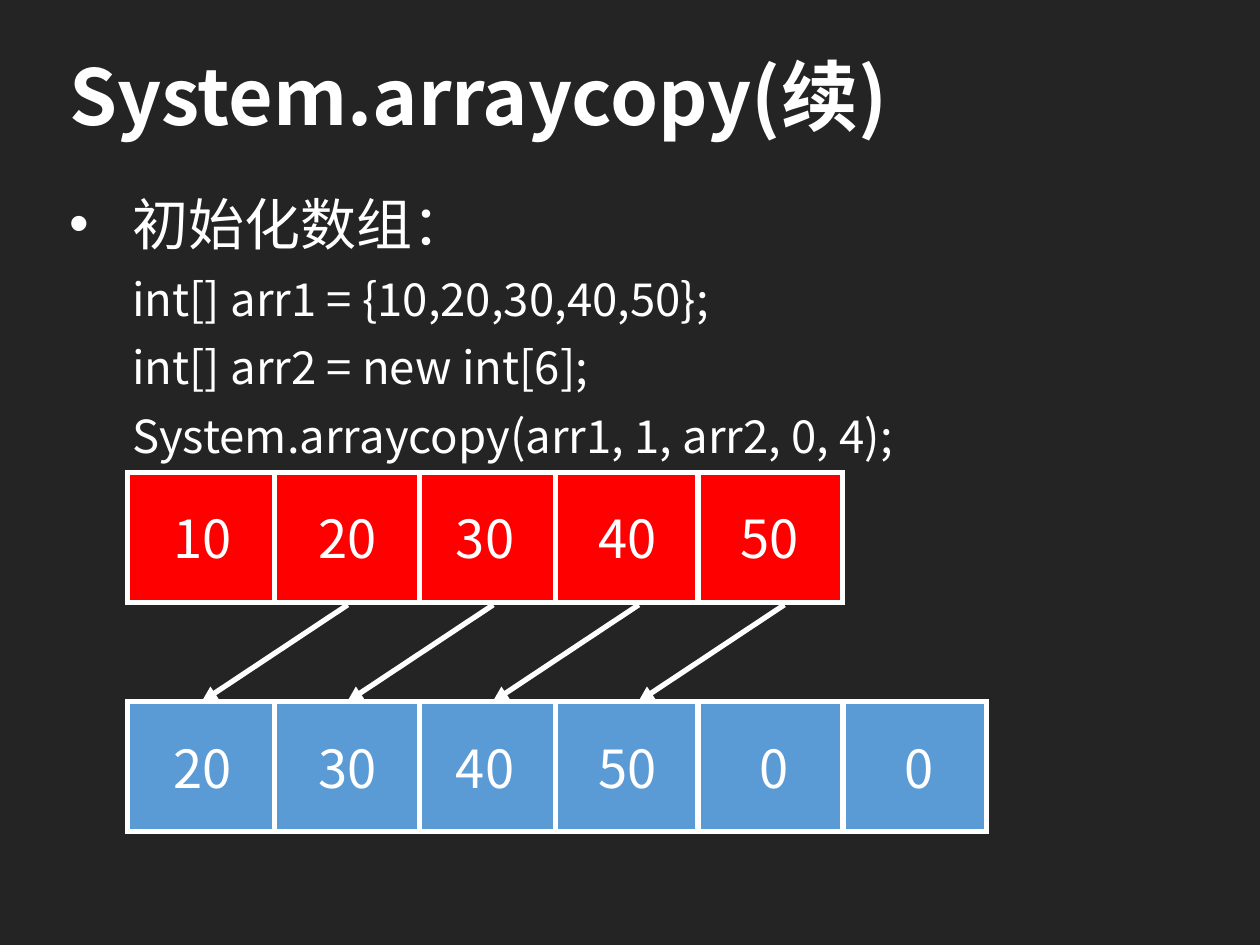
import pptx
import pptx.util
import pptx.dml.color
import pptx.enum.shapes
import pptx.enum.text
import pptx.oxml.ns
from pptx.util import Inches

FONT = "Noto Sans CJK SC"
COLORS = {"back": "242424", "white": "FFFFFF", "source": "FF0000", "target": "5B9BD5"}

TITLE = "System.arraycopy(续)"
HEADING = "初始化数组："
CODE = [
    "int[] arr1 = {10,20,30,40,50};",
    "int[] arr2 = new int[6];",
    "System.arraycopy(arr1, 1, arr2, 0, 4);",
]

# Cell borders from left to right, shared by both arrays
EDGES = [1.01, 2.18, 3.33, 4.41, 5.54, 6.69, 7.83]
ROW_HEIGHT = 1.03
ARRAYS = [
    {"top": 3.75, "fill": "source", "values": [10, 20, 30, 40, 50],
     "lefts": [1.28, 2.43, 3.52, 4.65, 5.78]},
    {"top": 5.57, "fill": "target", "values": [20, 30, 40, 50, 0, 0],
     "lefts": [1.28, 2.43, 3.52, 4.65, 5.93, 7.08]},
]
COPIED = 4
ARROW_START, ARROW_END, ARROW_STEP = (2.76, 4.8), (1.6, 5.57), 1.155


def color(name):
    return pptx.dml.color.RGBColor.from_string(COLORS[name])


def add_element(parent, tag, **attributes):
    parent.append(parent.makeelement(pptx.oxml.ns.qn(tag), attributes))


def style(para, size, bold=False):
    font = para.font
    font.size, font.bold, font.name = pptx.util.Pt(size), bold, FONT
    font.color.rgb = color("white")
    for span in para.runs:
        add_element(span._r.get_or_add_rPr(), "a:ea", typeface=FONT)


def add_text(page, left, top, width, height):
    frame = page.shapes.add_textbox(
        Inches(left), Inches(top), Inches(width), Inches(height)).text_frame
    frame.word_wrap = True
    return frame


def set_outline(shape):
    shape.line.color.rgb = color("white")
    shape.line.width = pptx.util.Pt(3)
    add_element(shape.line._get_or_add_ln(), "a:miter", lim="800000")


def add_line(page, start, end, arrow=False):
    line = page.shapes.add_connector(
        pptx.enum.shapes.MSO_CONNECTOR.STRAIGHT,
        *(Inches(value) for value in (*start, *end)))
    set_outline(line)
    if arrow:
        add_element(line.line._get_or_add_ln(), "a:tailEnd", type="triangle")
    add_element(line._element.spPr, "a:effectLst")


def add_array(page, array):
    top, values = array["top"], array["values"]
    count = len(values)
    bar = page.shapes.add_shape(
        pptx.enum.shapes.MSO_SHAPE.RECTANGLE, Inches(EDGES[0]), Inches(top),
        Inches(EDGES[count] - EDGES[0]), Inches(ROW_HEIGHT))
    bar.shadow.inherit = False
    bar.fill.solid()
    bar.fill.fore_color.rgb = color(array["fill"])
    set_outline(bar)
    for edge in EDGES[1:count]:
        add_line(page, (edge, top), (edge, top + ROW_HEIGHT))
    for value, left in zip(values, array["lefts"]):
        frame = add_text(page, left, top + 0.22, 0.76, 0.64)
        frame.auto_size = pptx.enum.text.MSO_AUTO_SIZE.SHAPE_TO_FIT_TEXT
        frame.text = str(value)
        style(frame.paragraphs[0], 30)


def main():
    deck = pptx.Presentation()
    deck.slide_width, deck.slide_height = Inches(10), Inches(7.5)
    page = deck.slides.add_slide(deck.slide_layouts[6])
    page.background.fill.solid()
    page.background.fill.fore_color.rgb = color("back")

    # Title
    frame = add_text(page, 0.45, 0.23, 9.09, 1.04)
    frame.vertical_anchor = pptx.enum.text.MSO_ANCHOR.MIDDLE
    frame.text = TITLE
    style(frame.paragraphs[0], 44, bold=True)

    # Heading with bullet, then the code lines
    frame = add_text(page, 0.45, 1.4, 9.11, 5.55)
    frame.text = "\n".join([HEADING, *CODE])
    for index, para in enumerate(frame.paragraphs):
        para.line_spacing = 1.1
        if index:
            para.level = 1
            para.space_before = pptx.util.Pt(5)
        props = para._p.get_or_add_pPr()
        props.set("marL", str(Inches(1 if index else 0.5)))
        props.set("indent", str(Inches(-0.5)))
        if index:
            add_element(props, "a:buNone")
        else:
            add_element(props, "a:buFont", typeface="Arial")
            add_element(props, "a:buChar", char="•")
        style(para, 26 if index else 32)

    # Arrays and the arrows of the copied elements
    for array in ARRAYS:
        add_array(page, array)
    for index in range(COPIED):
        shift = index * ARROW_STEP
        add_line(page, (ARROW_START[0] + shift, ARROW_START[1]),
                 (ARROW_END[0] + shift, ARROW_END[1]), arrow=True)

    deck.save("out.pptx")


if __name__ == "__main__":
    main()
